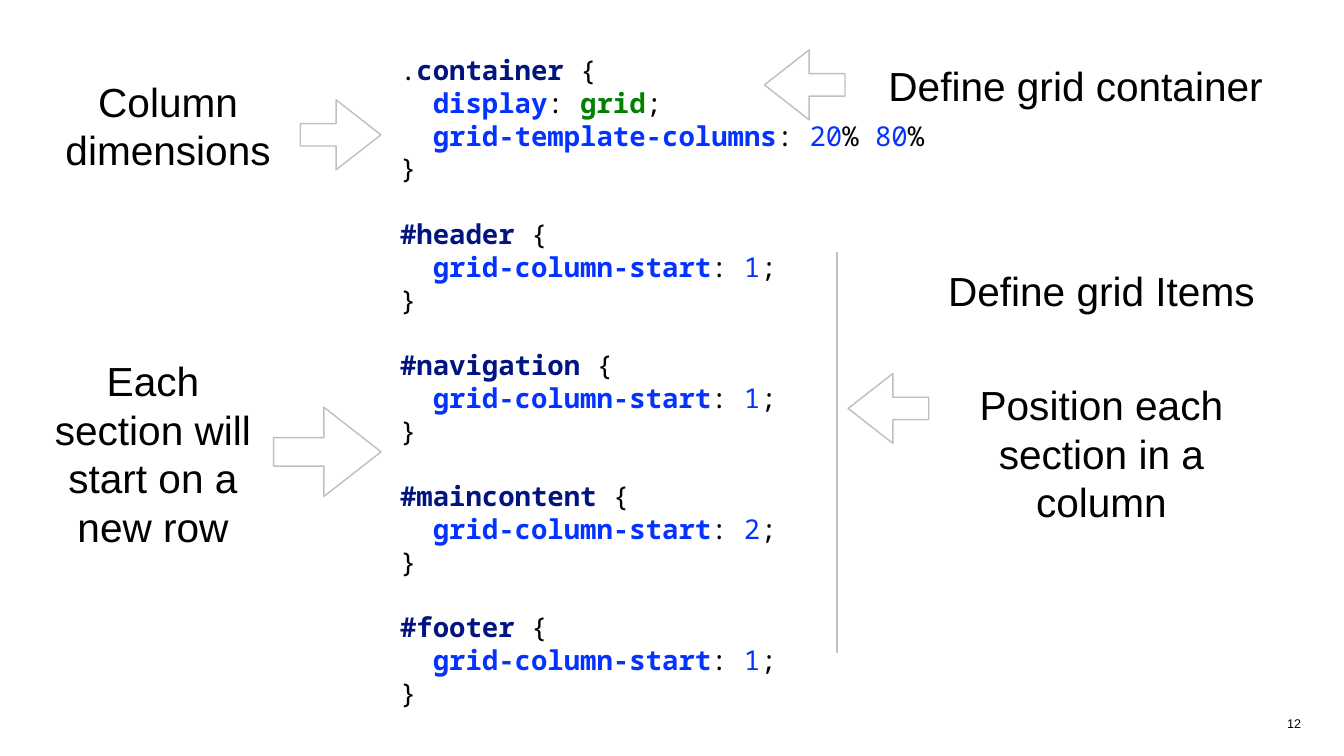
from dataclasses import dataclass

import pptx
import pptx.dml.color
import pptx.enum.shapes
import pptx.enum.text
import pptx.oxml
import pptx.oxml.ns
import pptx.util

Pt = pptx.util.Pt
RGB = pptx.dml.color.RGBColor.from_string
ALIGN = pptx.enum.text.PP_ALIGN
SHAPE = pptx.enum.shapes.MSO_SHAPE


@dataclass(frozen=True)
class Theme:
    label_font: str = "Arial"
    code_font: str = "Noto Sans Mono"
    label_size: float = 58
    code_size: float = 39
    page_size: float = 18
    code_pitch: float = 46.8
    inset: float = 5
    line_width: float = 2
    paper: str = "FFFFFF"
    ink: str = "000000"
    outline: str = "BFBFBF"
    selector: str = "011480"
    accent: str = "0432FF"
    keyword: str = "018001"


@dataclass(frozen=True)
class Box:
    left: float
    top: float
    width: float
    height: float

    def lengths(self) -> tuple:
        return Pt(self.left), Pt(self.top), Pt(self.width), Pt(self.height)


@dataclass(frozen=True)
class Label:
    text: str
    box: Box


@dataclass(frozen=True)
class Arrow:
    kind: int
    box: Box


@dataclass(frozen=True)
class Token:
    text: str
    color: str
    bold: bool = False


THEME = Theme()
CODE_BOX = Box(566.6, 71.3, 762.5, 910)
PAGE_BOX = Box(1833, 1018, 31, 31.7)
SECTION_COLUMNS = {"header": 1, "navigation": 1, "maincontent": 2, "footer": 1}

LABELS = [
    Label("Column dimensions", Box(40.3, 104.4, 399.6, 146.2)),
    Label("Define grid container", Box(1239.8, 82, 594, 77.8)),
    Label("Position each section in a column", Box(1373.8, 537.8, 399.6, 215.3)),
    Label("Each section will start on a new row", Box(49.7, 503.3, 337.7, 284.4)),
    Label("Define grid Items", Box(1276.6, 374.4, 594, 77.8)),
]
ARROWS = [
    Arrow(SHAPE.RIGHT_ARROW, Box(429, 142.6, 115.2, 100)),
    Arrow(SHAPE.LEFT_ARROW, Box(1092.2, 71.3, 115.2, 100)),
    Arrow(SHAPE.RIGHT_ARROW, Box(391, 581.8, 153.4, 127.4)),
    Arrow(SHAPE.LEFT_ARROW, Box(1211.8, 533.5, 115.2, 100)),
]


def plain(text: str) -> Token:
    return Token(text, THEME.ink)


def number(value: int) -> Token:
    return Token(str(value), THEME.accent)


def declaration(name: str, *value: Token) -> list[Token]:
    return [plain("  "), Token(name, THEME.accent, True), plain(": "), *value]


def css_rule(selector: list[Token], *declarations: list[Token]) -> list[list[Token]]:
    """Return the lines of one rule, each a list of tokens."""
    return [[*selector, plain("{")], *declarations, [plain("}")]]


def css_rules() -> list[list[list[Token]]]:
    container = css_rule(
        [plain("."), Token("container ", THEME.selector, True)],
        declaration("display", Token("grid", THEME.keyword, True), plain(";")),
        declaration("grid-template-columns", number(20), plain("% "), number(80), plain("%")),
    )
    sections = [
        css_rule(
            [Token(f"#{section} ", THEME.selector, True)],
            declaration("grid-column-start", number(column), plain(";")),
        )
        for section, column in SECTION_COLUMNS.items()
    ]
    return [container, *sections]


def set_frame(frame, wrap: bool) -> None:
    frame.word_wrap = wrap
    frame.vertical_anchor = pptx.enum.text.MSO_ANCHOR.TOP
    frame.margin_left = frame.margin_right = Pt(THEME.inset)
    frame.margin_top = frame.margin_bottom = Pt(THEME.inset)


def set_font(font, name: str, size: float, color: str, bold: bool = False) -> None:
    font.name = name
    font.size = Pt(size)
    font.bold = bold
    font.color.rgb = RGB(color)


def draw_text(slide, label: Label, size: float, align, wrap: bool = True) -> None:
    frame = slide.shapes.add_textbox(*label.box.lengths()).text_frame
    set_frame(frame, wrap)
    frame.text = label.text
    paragraph = frame.paragraphs[0]
    paragraph.alignment = align
    set_font(paragraph.runs[0].font, THEME.label_font, size, THEME.ink)


def draw_code(slide) -> None:
    panel = slide.shapes.add_shape(SHAPE.RECTANGLE, *CODE_BOX.lengths())
    panel.shadow.inherit = False
    panel.fill.solid()
    panel.fill.fore_color.rgb = RGB(THEME.paper)
    panel.line.fill.background()
    frame = panel.text_frame
    set_frame(frame, wrap=False)
    for rule_index, rule in enumerate(css_rules()):
        for line_index, tokens in enumerate(rule):
            first = rule_index == line_index == 0
            paragraph = frame.paragraphs[0] if first else frame.add_paragraph()
            paragraph.alignment = ALIGN.LEFT
            paragraph.line_spacing = Pt(THEME.code_pitch)
            if rule_index and line_index == 0:
                paragraph.space_before = Pt(THEME.code_pitch)
            for token in tokens:
                run = paragraph.add_run()
                run.text = token.text
                set_font(run.font, THEME.code_font, THEME.code_size, token.color, token.bold)


def set_outline(line) -> None:
    line.color.rgb = RGB(THEME.outline)
    line.width = Pt(THEME.line_width)


def draw_arrow(slide, arrow: Arrow) -> None:
    shape = slide.shapes.add_shape(arrow.kind, *arrow.box.lengths())
    shape.shadow.inherit = False
    shape.adjustments[0] = 0.32
    shape.adjustments[1] = 0.64
    shape.fill.solid()
    shape.fill.fore_color.rgb = RGB(THEME.paper)
    set_outline(shape.line)


def draw_divider(slide, x: float, top: float, bottom: float) -> None:
    divider = slide.shapes.add_connector(
        pptx.enum.shapes.MSO_CONNECTOR.STRAIGHT, Pt(x), Pt(bottom), Pt(x), Pt(top)
    )
    set_outline(divider.line)
    effects = pptx.oxml.parse_xml(f"<a:effectLst {pptx.oxml.ns.nsdecls('a')}/>")
    divider._element.spPr.append(effects)


def main() -> None:
    deck = pptx.Presentation()
    deck.slide_width, deck.slide_height = Pt(1920.24), Pt(1080)
    slide = deck.slides.add_slide(deck.slide_layouts[6])
    draw_text(slide, Label("12", PAGE_BOX), THEME.page_size, ALIGN.RIGHT, wrap=False)
    draw_code(slide)
    for label in LABELS:
        draw_text(slide, label, THEME.label_size, ALIGN.CENTER)
    for arrow in ARROWS:
        draw_arrow(slide, arrow)
    draw_divider(slide, x=1196, top=359.3, bottom=932.4)
    deck.save("out.pptx")


if __name__ == "__main__":
    main()
